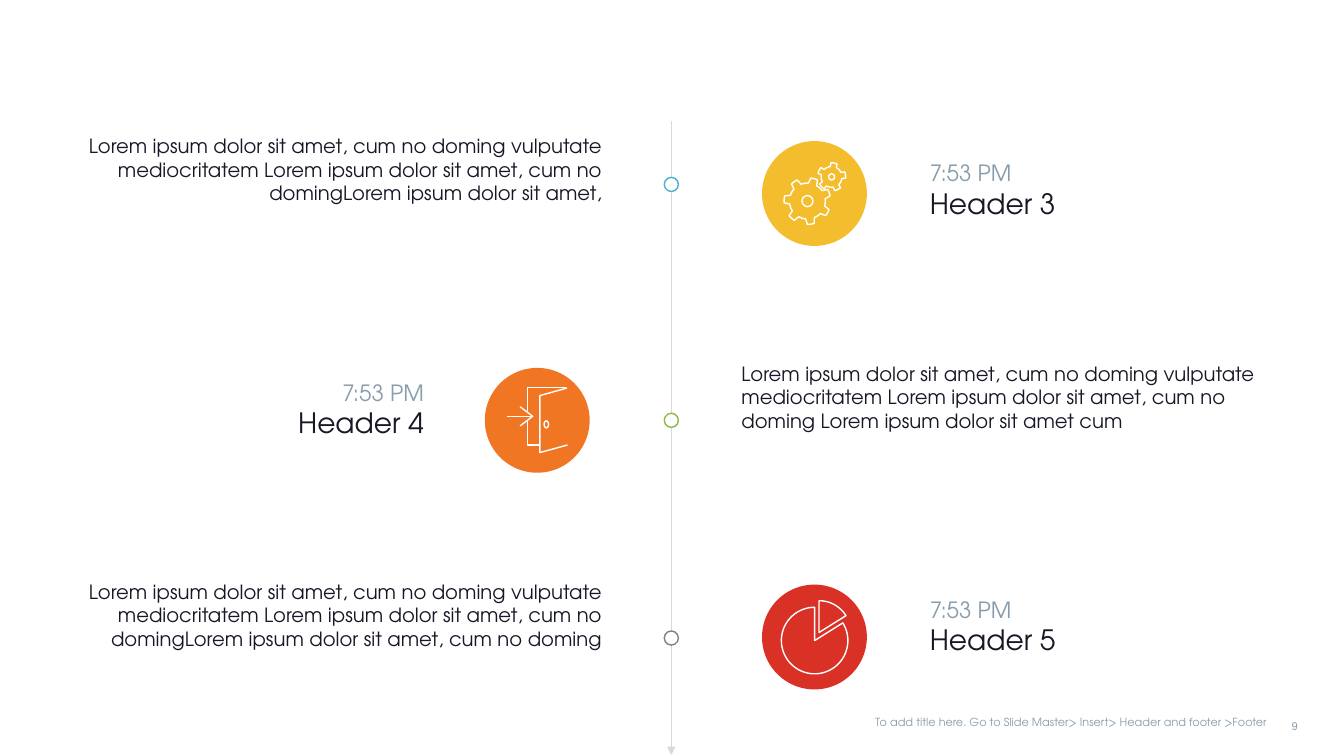
from math import cos, radians, sin

from lxml.etree import SubElement
from pptx import Presentation
from pptx.dml.color import RGBColor
from pptx.enum.shapes import MSO_CONNECTOR as CONNECTOR, MSO_SHAPE as SHAPE
from pptx.enum.text import MSO_AUTO_SIZE as AUTO_SIZE, PP_ALIGN as ALIGN
from pptx.oxml.ns import qn
from pptx.util import Inches, Pt

COLORS = {
    "white": "FFFFFF", "ink": "1B1626", "muted": "889DAC", "rule": "D9D9D9",
    "teal": "46B3C7", "green": "8DB74A", "gray": "807F85",
    "yellow": "F4BD2D", "orange": "F07624", "red": "DA3126",
}
COLUMNS, ROWS = 133.33, 75  # square grid cells
CELL = 0.1  # inches
AXIS, DOT, DISC = 66.6, 1.4, 10.4
TIME = "7:53 PM"
LOREM = ("Lorem ipsum dolor sit amet, cum no doming vulputate mediocritatem "
         "Lorem ipsum dolor sit amet, cum no doming")


def cells(count):
    return Inches(count * CELL)


def color(name):
    return RGBColor.from_string(COLORS[name])


def arc(center, radius, start, end, steps=60):
    """Points along an arc, angles in degrees clockwise from the right."""
    angles = [radians(start + (end - start) * i / steps) for i in range(steps + 1)]
    return [(center[0] + radius * cos(a), center[1] + radius * sin(a)) for a in angles]


def gear(center, teeth, phase, root, tip, root_half, tip_half):
    points = []
    pitch = 360 / teeth
    for i in range(teeth):
        angle = phase + i * pitch
        points += arc(center, tip, angle - tip_half, angle + tip_half, 2)
        points += arc(center, root, angle + root_half, angle + pitch - root_half, 4)
    return points


def write(frame, text, size=14, ink="ink", align=ALIGN.LEFT, font="TeX Gyre Adventor", first=True):
    paragraph = frame.paragraphs[0] if first else frame.add_paragraph()
    paragraph.alignment = align
    run = paragraph.add_run()
    run.text = text
    run.font.size, run.font.name = Pt(size), font
    run.font.color.rgb = color(ink)


class Canvas:
    """Draws on one slide; every length is in grid cells."""

    def __init__(self, slide, stroke=1):
        self.shapes = slide.shapes
        self.stroke = stroke

    def paint(self, shape, fill=None, line=None):
        shape.shadow.inherit = False
        if fill:
            shape.fill.solid()
            shape.fill.fore_color.rgb = color(fill)
        else:
            shape.fill.background()
        if line:
            shape.line.color.rgb = color(line)
            shape.line.width = Pt(self.stroke)
        else:
            shape.line.fill.background()

    def oval(self, left, top, width, height, **style):
        shape = self.shapes.add_shape(SHAPE.OVAL, *map(cells, (left, top, width, height)))
        self.paint(shape, **style)

    def ring(self, x, y, width, height):
        self.oval(x - width / 2, y - height / 2, width, height, line="white")

    def outline(self, origin, points, close=False):
        points = [(cells(origin[0] + x), cells(origin[1] + y)) for x, y in points]
        builder = self.shapes.build_freeform(*points[0], scale=1.0)
        builder.add_line_segments(points[1:], close=close)
        self.paint(builder.convert_to_shape(), line="white")

    def text(self, left, top, width, height, grow=True):
        frame = self.shapes.add_textbox(*map(cells, (left, top, width, height))).text_frame
        frame.word_wrap = True
        frame.auto_size = AUTO_SIZE.SHAPE_TO_FIT_TEXT if grow else AUTO_SIZE.NONE
        frame.margin_left = frame.margin_right = cells(0.95)
        return frame

    def arrow(self, x, top, bottom):
        line = self.shapes.add_connector(CONNECTOR.STRAIGHT, *map(cells, (x, top, x, bottom)))
        line.line.color.rgb = color("rule")
        line.line.width = Pt(0.75)
        SubElement(line.line._get_or_add_ln(), qn("a:tailEnd"), type="triangle")
        SubElement(line._element.spPr, qn("a:effectLst"))


# Icons, placed from the corner of their disc
def gears_icon(canvas, x, y):
    large, small = (4.5, 5.95), (6.9, 3.55)
    canvas.outline((x, y), gear(large, 7, 30, 1.78, 2.32, 14, 8.5), close=True)
    canvas.outline((x, y), gear(small, 5, -80, 1.03, 1.4, 17, 13), close=True)
    for (hub_x, hub_y), size in ((large, 1.1), (small, 0.6)):
        canvas.ring(x + hub_x, y + hub_y, size, size)


def door_icon(canvas, x, y):
    strokes = [
        [(8.1, 1.95), (4.25, 1.95), (4.25, 4.3)],               # upper frame
        [(4.25, 5.2), (4.25, 7.65), (5.45, 7.65)],              # lower frame
        [(8.15, 2), (5.45, 2.75), (5.45, 8.4), (8.2, 7.65)],    # leaf
        [(3.5, 3.85), (4.75, 4.8), (3.5, 5.75)],                # arrowhead
        [(2.2, 4.8), (4.75, 4.8)],                              # arrow shaft
    ]
    for points in strokes:
        canvas.outline((x, y), points)
    canvas.ring(x + 6.1, y + 5.6, 0.45, 0.7)


def pie_icon(canvas, x, y):
    center, apex = (5.22, 5.55), (5.65, 4.75)
    canvas.outline((x, y), [center] + arc(center, 3.3, -32, 270), close=True)
    canvas.outline((x, y), [apex] + arc(apex, 3.15, -90, -32), close=True)


# Per side of the header: header box, body box, disc left, alignments
SIDES = {
    "right": dict(header=(91.3, 35.4), body=(6.5, 54.2), disc=75.6,
                  header_align=ALIGN.LEFT, body_align=ALIGN.RIGHT),
    "left": dict(header=(5, 38), body=(72.6, 54.1), disc=48.1,
                 header_align=ALIGN.RIGHT, body_align=ALIGN.LEFT),
}
# Side, title, body, then tops of header, body, disc and dot
EVENTS = [
    ("right", "Header 3", LOREM + "Lorem ipsum dolor sit amet,",
     15.3, 12.8, 14, 17.6, "yellow", "teal", gears_icon),
    ("left", "Header 4", LOREM + " Lorem ipsum dolor sit amet cum",
     37.1, 35.4, 36.5, 41, "orange", "green", door_icon),
    ("right", "Header 5", LOREM + "Lorem ipsum dolor sit amet, cum no doming",
     58.6, 57, 58, 62.6, "red", "gray", pie_icon),
]


def main():
    presentation = Presentation()
    presentation.slide_width, presentation.slide_height = cells(COLUMNS), cells(ROWS)
    canvas = Canvas(presentation.slides.add_slide(presentation.slide_layouts[6]))

    # Footer
    number = canvas.text(124.1, 70.9, 5.6, 2.4)
    write(number, "9", size=8, ink="muted", align=ALIGN.RIGHT, font="Arial")
    footer = canvas.text(82.5, 70.5, 44.2, 2.5, grow=False)
    write(footer, "To add title here. Go to Slide Master> Insert> Header and footer >Footer",
          size=8, ink="muted", align=ALIGN.RIGHT)

    # Timeline
    canvas.arrow(AXIS, 12, 74.9)
    for side, title, body, header_top, body_top, disc_top, dot_top, fill, ring, icon in EVENTS:
        place = SIDES[side]
        canvas.oval(AXIS - DOT / 2, dot_top, DOT, DOT, fill="white", line=ring)

        left, width = place["header"]
        header = canvas.text(left, header_top, width, 7.9)
        write(header, TIME, size=16, ink="muted", align=place["header_align"])
        write(header, title, size=20, align=place["header_align"], first=False)

        left, width = place["body"]
        write(canvas.text(left, body_top, width, 8.9), body, align=place["body_align"])

        canvas.oval(place["disc"], disc_top, DISC, DISC, fill=fill)
        icon(canvas, place["disc"], disc_top)

    presentation.save("out.pptx")


if __name__ == "__main__":
    main()
